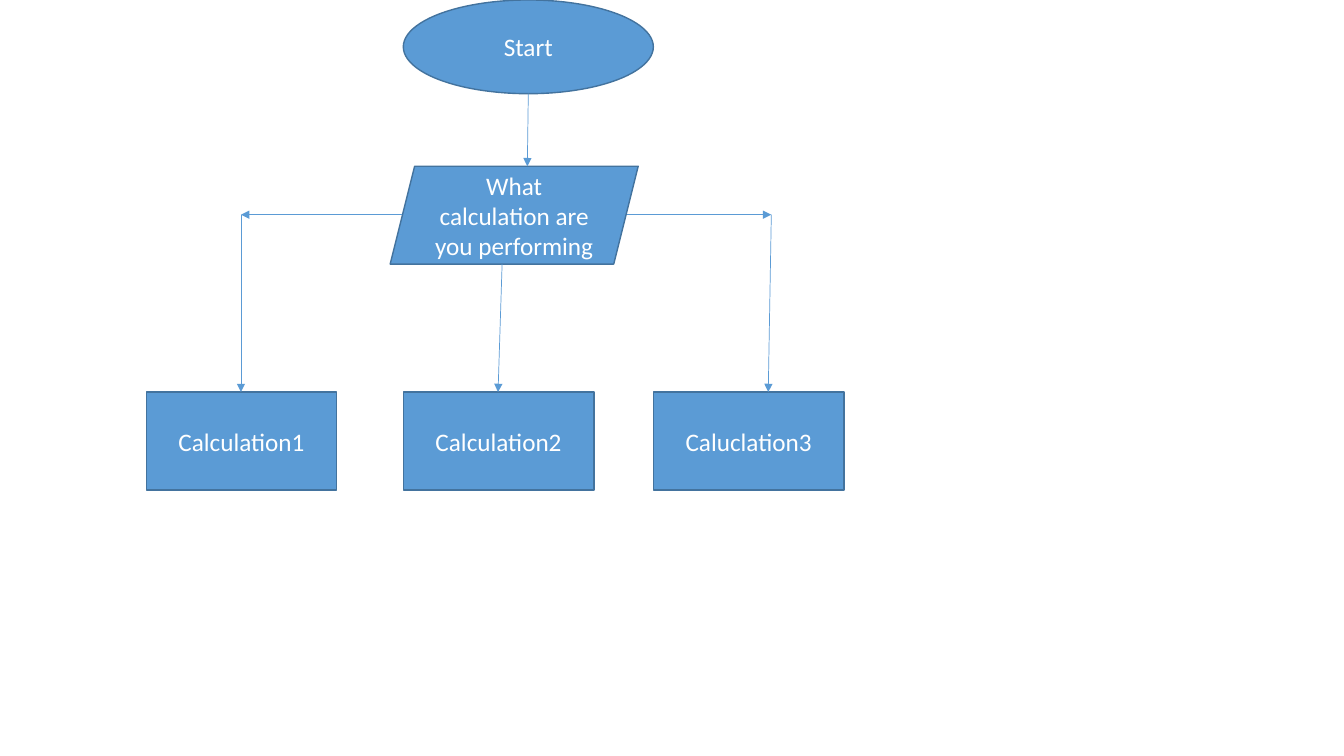
from lxml.etree import SubElement
from pptx import Presentation
from pptx.dml.color import RGBColor
from pptx.enum.shapes import MSO_CONNECTOR, MSO_SHAPE
from pptx.enum.text import MSO_ANCHOR, PP_ALIGN
from pptx.oxml.ns import qn
from pptx.util import Pt

PX = 9144
BLUE = RGBColor(0x5B, 0x9B, 0xD5)
DARK_BLUE = RGBColor(0x43, 0x73, 0x9E)
WHITE = RGBColor(0xFF, 0xFF, 0xFF)

START = ("Start", 400, 0, 248, 93)
QUESTION = ("What calculation are you performing", 387, 165, 246, 97)
CALCULATIONS = [("Calculation1", 145), ("Calculation2", 400), ("Caluclation3", 648)]
CALCULATION_TOP, CALCULATION_WIDTH, CALCULATION_HEIGHT = 389, 189, 97

BRANCH_Y = 213
LEFT_TURN = (239, BRANCH_Y)
RIGHT_TURN = (765, BRANCH_Y)
ARROWS = [
    ((524, 93), (523, 165)),
    ((498, 262), (494, CALCULATION_TOP)),
    ((399, BRANCH_Y), LEFT_TURN),
    (LEFT_TURN, (239, CALCULATION_TOP)),
    ((622, BRANCH_Y), RIGHT_TURN),
    (RIGHT_TURN, (762, CALCULATION_TOP)),
]


def add_step(slide, outline, label, *box):
    step = slide.shapes.add_shape(outline, *(length * PX for length in box))
    step.shadow.inherit = False
    step.fill.solid()
    step.fill.fore_color.rgb = BLUE
    step.line.color.rgb = DARK_BLUE
    step.line.width = Pt(1)
    step.text_frame.word_wrap = True
    step.text_frame.vertical_anchor = MSO_ANCHOR.MIDDLE
    paragraph = step.text_frame.paragraphs[0]
    paragraph.text = label
    paragraph.alignment = PP_ALIGN.CENTER
    paragraph.font.name = "Calibri"
    paragraph.font.size = Pt(18)
    paragraph.font.color.rgb = WHITE


def add_arrow(slide, start, end):
    arrow = slide.shapes.add_connector(
        MSO_CONNECTOR.STRAIGHT, *(length * PX for length in start + end)
    )
    arrow.line.color.rgb = BLUE
    arrow.line.width = Pt(0.5)
    properties = arrow._element.spPr
    SubElement(properties.find(qn("a:ln")), qn("a:tailEnd"), type="triangle")
    SubElement(properties, qn("a:effectLst"))


def main():
    deck = Presentation()
    deck.slide_width, deck.slide_height = 1333 * PX, 750 * PX
    slide = deck.slides.add_slide(deck.slide_layouts[6])

    add_step(slide, MSO_SHAPE.OVAL, *START)
    add_step(slide, MSO_SHAPE.PARALLELOGRAM, *QUESTION)
    for label, left in CALCULATIONS:
        add_step(slide, MSO_SHAPE.RECTANGLE, label, left, CALCULATION_TOP,
                 CALCULATION_WIDTH, CALCULATION_HEIGHT)
    for start, end in ARROWS:
        add_arrow(slide, start, end)

    deck.save("out.pptx")


if __name__ == "__main__":
    main()
